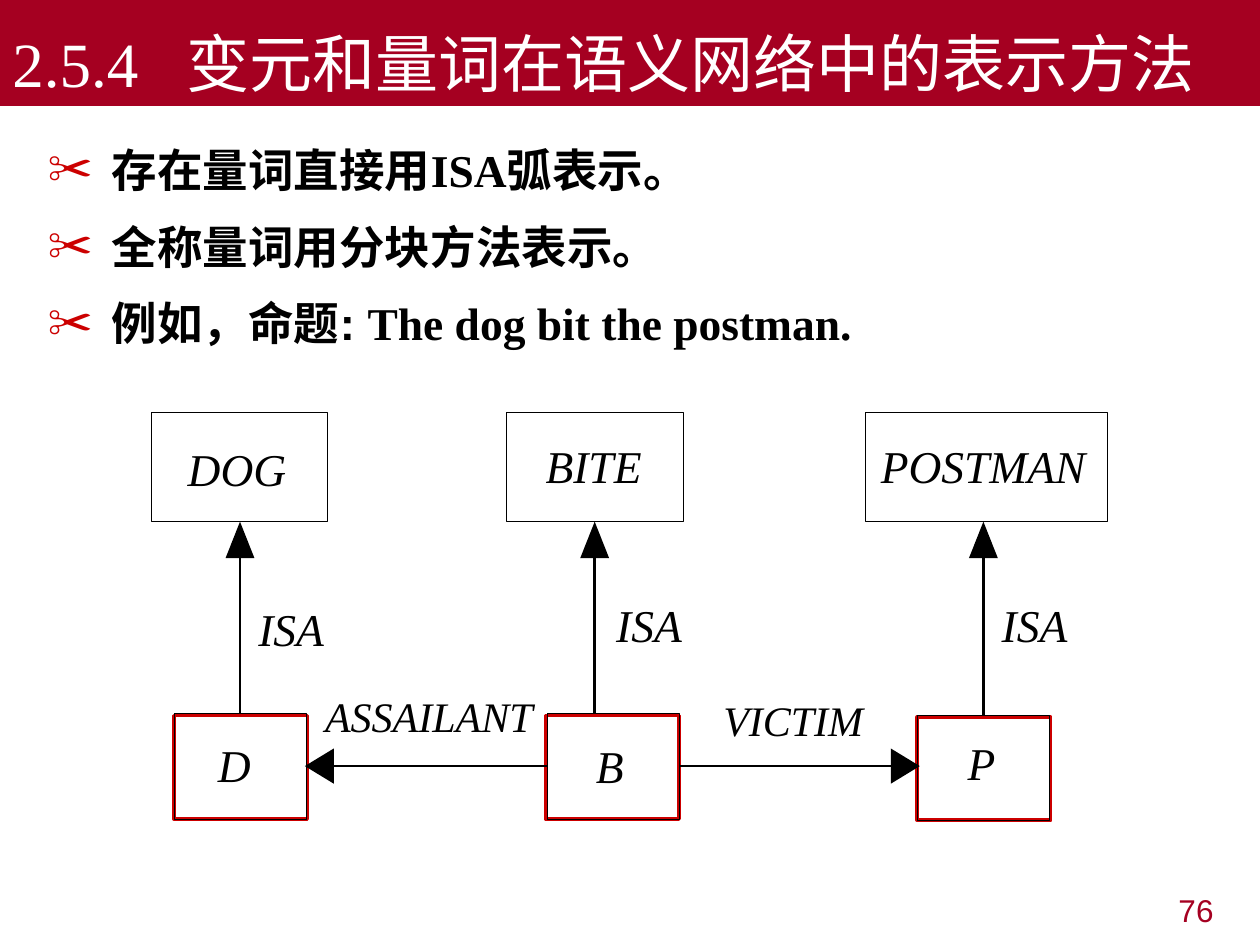
"""Build a slide on quantifiers in semantic networks, laid out on a grid of 100 columns by 75 rows."""
from dataclasses import dataclass
from typing import Optional

import pptx
import pptx.dml.color
import pptx.enum.shapes
import pptx.enum.text
import pptx.oxml
import pptx.oxml.ns
import pptx.util
from lxml import etree


@dataclass(frozen=True)
class Theme:
    crimson: str = "A50021"
    red: str = "CC0000"
    black: str = "000000"
    white: str = "FFFFFF"
    serif: str = "Times New Roman"
    sans: str = "Arial"
    title: int = 36
    body: int = 26
    role: int = 24
    number: int = 18
    thin: float = 0.25
    arrow: float = 1.62
    frame: float = 2


@dataclass(frozen=True)
class Box:
    col: float
    row: float
    cols: float
    rows: float


@dataclass(frozen=True)
class Node:
    text: str
    box: Box
    label: Box
    frame: Optional[Box] = None


@dataclass(frozen=True)
class Label:
    text: str
    box: Box
    size: int


@dataclass(frozen=True)
class Arrow:
    start: tuple[float, float]
    tip: tuple[float, float]
    source: Optional[str] = None
    site: int = 0


T = Theme()
CELL = pptx.util.Inches(0.1)
BULLETS = [
    [("存在量词直接用", T.sans), ("ISA", T.serif), ("弧表示。", T.sans)],
    [("全称量词用分块方法表示。", T.sans)],
    [("例如，命题: ", T.sans), ("The dog bit the postman.", T.serif)],
]
NODES = [
    Node("DOG", Box(12, 32.7, 14, 8.7), Box(14.9, 35, 9, 4.3)),
    Node("BITE", Box(40.2, 32.7, 14, 8.7), Box(43.3, 34.8, 9, 4.3)),
    Node("POSTMAN", Box(68.7, 32.7, 19.2, 8.7), Box(69.9, 34.8, 17.5, 4.3)),
    Node("D", Box(13.8, 56.6, 10.5, 8.4), Box(17.3, 58.5, 4, 4.3), Box(13.8, 56.8, 10.6, 8.2)),
    Node("B", Box(43.4, 56.6, 10.5, 8.4), Box(47.3, 58.6, 4, 4.3), Box(43.3, 56.8, 10.6, 8.2)),
    Node("P", Box(72.8, 56.8, 10.5, 8.3), Box(76.8, 58.3, 4, 4.3), Box(72.8, 56.9, 10.6, 8.2)),
]
LABELS = [
    Label("ISA", Box(20.5, 47.7, 6.5, 4.3), T.body),
    Label("ISA", Box(48.9, 47.4, 6.5, 4.3), T.body),
    Label("ISA", Box(79.5, 47.4, 6.5, 4.3), T.body),
    Label("ASSAILANT", Box(25.8, 54.8, 17.4, 4), T.role),
    Label("VICTIM", Box(57.4, 55.1, 12.5, 4), T.role),
]
ARROWS = [
    Arrow((19.05, 56.6), (19.05, 41.4), "D", 0),
    Arrow((47.2, 56.6), (47.2, 41.4)),
    Arrow((78.05, 56.8), (78.05, 41.4), "P", 0),
    Arrow((43.4, 60.8), (24.2, 60.8), "B", 1),
    Arrow((53.9, 60.8), (73, 60.8), "B", 3),
]


def grid(*cells: float) -> list[int]:
    """Turn grid units into lengths."""
    return [round(c * CELL) for c in cells]


def area(box: Box) -> list[int]:
    """Return left, top, width and height of a box."""
    return grid(box.col, box.row, box.cols, box.rows)


def rgb(color: str) -> pptx.dml.color.RGBColor:
    """Return a colour from its hexadecimal name."""
    return pptx.dml.color.RGBColor.from_string(color)


def add_run(p, text: str, size: int, color: str, font: str = T.serif, bold: bool = False, italic: bool = False) -> None:
    """Append one formatted run to a paragraph."""
    r = p.add_run()
    r.text = text
    r.font.size = pptx.util.Pt(size)
    r.font.name = font
    r.font.bold = bold
    r.font.italic = italic
    r.font.color.rgb = rgb(color)


def add_rect(s, box: Box, fill: Optional[str] = None, line: Optional[str] = None, width: float = T.thin):
    """Draw a rectangle with optional fill and outline."""
    sp = s.shapes.add_shape(pptx.enum.shapes.MSO_SHAPE.RECTANGLE, *area(box))
    sp.shadow.inherit = False
    if fill:
        sp.fill.solid()
        sp.fill.fore_color.rgb = rgb(fill)
    else:
        sp.fill.background()
    if line:
        sp.line.color.rgb = rgb(line)
        sp.line.width = pptx.util.Pt(width)
    else:
        sp.line.fill.background()
    return sp


def add_label(s, label: Label) -> None:
    """Write an italic label without margins on a single line."""
    tf = s.shapes.add_textbox(*area(label.box)).text_frame
    tf.margin_left = tf.margin_top = tf.margin_right = tf.margin_bottom = 0
    tf.word_wrap = True
    add_run(tf.paragraphs[0], label.text, label.size, T.black, italic=True)


def add_arrow(s, arrow: Arrow, shapes: dict) -> None:
    """Draw a connector ending in a large solid head."""
    (x0, y0), (x1, y1) = arrow.start, arrow.tip
    length, half = (2.9, 1.15) if x0 == x1 else (2.3, 1.4)
    span = abs(x1 - x0) + abs(y1 - y0)
    dx, dy = (x1 - x0) / span, (y1 - y0) / span
    neck = length - 0.1
    cx = s.shapes.add_connector(
        pptx.enum.shapes.MSO_CONNECTOR.STRAIGHT, *grid(x0, y0, x1 - neck * dx, y1 - neck * dy))
    if arrow.source:
        cx.begin_connect(shapes[arrow.source], arrow.site)
    cx.line.color.rgb = rgb(T.black)
    cx.line.width = pptx.util.Pt(T.arrow)
    etree.SubElement(cx._element.spPr, pptx.oxml.ns.qn("a:effectLst"))
    bx, by = x1 - length * dx, y1 - length * dy
    fb = s.shapes.build_freeform(*grid(bx - half * dy, by + half * dx))
    fb.add_line_segments([grid(x1, y1), grid(bx + half * dy, by - half * dx)], close=True)
    sp = fb.convert_to_shape()
    sp.shadow.inherit = False
    sp.fill.solid()
    sp.fill.fore_color.rgb = rgb(T.black)
    sp.line.fill.background()


def add_title(s) -> None:
    """Draw the title band with a tab after the section number."""
    tf = add_rect(s, Box(0, 0, 100, 8.4), T.crimson).text_frame
    tf.word_wrap = True
    tf.vertical_anchor = pptx.enum.text.MSO_ANCHOR.BOTTOM
    p = tf.paragraphs[0]
    p.alignment = pptx.enum.text.PP_ALIGN.LEFT
    tabs = etree.SubElement(p._p.get_or_add_pPr(), pptx.oxml.ns.qn("a:tabLst"))
    etree.SubElement(tabs, pptx.oxml.ns.qn("a:tab"), pos=str(round(13.8 * CELL)), algn="l")
    add_run(p, "2.5.4\t变元和量词在语义网络中的表示方法", T.title, T.white)


def add_bullets(s) -> None:
    """Write the bulleted statements."""
    tf = s.shapes.add_textbox(*area(Box(2.8, 9.9, 94.5, 20))).text_frame
    tf.word_wrap = True
    for i, runs in enumerate(BULLETS):
        p = tf.add_paragraph() if i else tf.paragraphs[0]
        p.line_spacing = 1.2
        if i:
            p.space_before = pptx.util.Pt(6.5)
        pPr = p._p.get_or_add_pPr()
        indent = round(5.1 * CELL)
        pPr.set("marL", str(indent))
        pPr.set("indent", str(-indent))
        color = etree.SubElement(pPr, pptx.oxml.ns.qn("a:buClr"))
        etree.SubElement(color, pptx.oxml.ns.qn("a:srgbClr"), val=T.red)
        etree.SubElement(pPr, pptx.oxml.ns.qn("a:buFont"), typeface=T.serif)
        etree.SubElement(pPr, pptx.oxml.ns.qn("a:buChar"), char="✂")
        for text, font in runs:
            add_run(p, text, T.body, T.black, font, bold=True)


def main() -> None:
    """Build and save the slide."""
    prs = pptx.Presentation()
    prs.slide_width, prs.slide_height = grid(100, 75)
    s = prs.slides.add_slide(prs.slide_layouts[6])
    p = s.shapes.add_textbox(*area(Box(74, 70.2, 23.3, 4.8))).text_frame.paragraphs[0]
    p.alignment = pptx.enum.text.PP_ALIGN.RIGHT
    add_run(p, "76", T.number, T.crimson, T.sans)
    add_title(s)
    add_bullets(s)
    shapes = {}
    for node in NODES:
        if node.frame:
            add_rect(s, node.frame, T.white, T.red, T.frame)
        shapes[node.text] = add_rect(s, node.box, line=T.black)
        add_label(s, Label(node.text, node.label, T.body))
    for arrow in ARROWS:
        add_arrow(s, arrow, shapes)
    for label in LABELS:
        add_label(s, label)
    prs.save("out.pptx")


if __name__ == "__main__":
    main()
